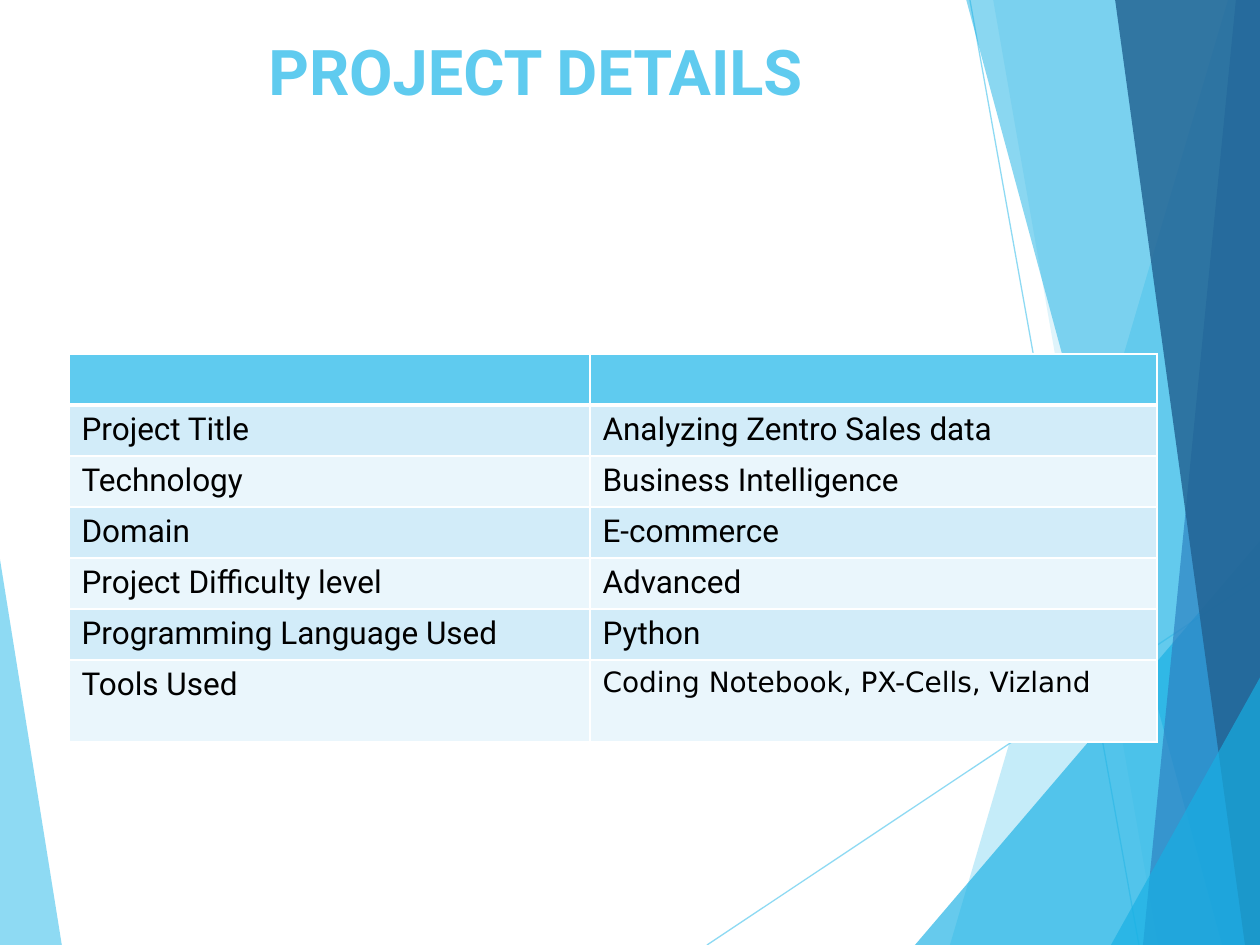
import pptx
import pptx.util
import pptx.dml.color
import pptx.enum.shapes
import pptx.enum.text
import pptx.oxml.ns
import lxml.etree

RGB = pptx.dml.color.RGBColor
SKY = RGB(0x5F, 0xCB, 0xEF)
CYAN = RGB(0x17, 0xB0, 0xE4)
BLUE = RGB(0x2E, 0x83, 0xC3)
NAVY = RGB(0x22, 0x62, 0x92)
BAND_DARK = RGB(0xD2, 0xEC, 0xF9)
BAND_LIGHT = RGB(0xEA, 0xF6, 0xFC)
BLACK = RGB(0, 0, 0)
WHITE = RGB(0xFF, 0xFF, 0xFF)

# Content
TITLE = "PROJECT DETAILS"
ROWS = [
    ("", ""),
    ("Project Title", "Analyzing Zentro Sales data"),
    ("Technology", "Business Intelligence"),
    ("Domain", "E-commerce"),
    ("Project Difficulty level", "Advanced"),
    ("Programming Language Used", "Python"),
    ("Tools Used", "Coding Notebook, PX-Cells, Vizland"),
]
TITLE_FONT = {"name": "Roboto", "size": pptx.util.Pt(36), "bold": True}
CELL_FONT = {"name": "Roboto", "size": pptx.util.Pt(18), "bold": False}
TOOLS_FONT = {"name": "DejaVu Sans", "size": pptx.util.Pt(16), "bold": False}

# Backdrop: colour, opacity in percent, corner points in px
LEFT_FACET = (SKY, 70, [(-1, 553), (62, 946), (-1, 945)])
RAYS = [((707, 945), (1261, 576)), ((970, 0), (1139, 945))]
RIGHT_FACETS = [
    (SKY, 36, [(1228, 0), (950, 945), (1262, 946), (1261, 0)]),
    (SKY, 20, [(993, -1), (1158, 945), (1261, 945), (1261, -1)]),
    (CYAN, 66, [(915, 945), (1260, 541), (1261, 945)]),
    (CYAN, 50, [(966, -1), (1222, 945), (1261, 945), (1261, -1)]),
    (BLUE, 70, [(1236, -1), (1143, 945), (1261, 945), (1260, -1)]),
    (NAVY, 82, [(1115, -1), (1245, 945), (1262, 945), (1260, -1)]),
    (CYAN, 66, [(1111, 945), (1262, 674), (1262, 945)]),
]

# Layout in px
SLIDE = (1260, 945)
TITLE_BOX = (256, 21, 941, 168)
TABLE_AT = (69, 354)
COLS = (521, 567)
ROW_H, LAST_ROW_H = 51, 82
EMU_PER_PX = 914400 / 126


def px(n):
    return pptx.util.Emu(round(n * EMU_PER_PX))


def sub(parent, tag, **attrs):
    return lxml.etree.SubElement(parent, pptx.oxml.ns.qn(tag), attrs)


def set_opacity(color_format_parent, percent):
    clr = next(color_format_parent.iter(pptx.oxml.ns.qn("a:srgbClr")))
    sub(clr, "a:alpha", val=str(percent * 1000))


def add_facet(shapes, color, opacity, points):
    fb = shapes.build_freeform(*points[0], scale=EMU_PER_PX)
    fb.add_line_segments(points[1:], close=True)
    sp = fb.convert_to_shape()
    sp.shadow.inherit = False
    sp.fill.solid()
    sp.fill.fore_color.rgb = color
    set_opacity(sp.element.spPr, opacity)
    sp.line.fill.background()


def add_ray(shapes, start, end):
    line = shapes.add_connector(pptx.enum.shapes.MSO_CONNECTOR.STRAIGHT,
                                *map(px, start + end))
    line.line.color.rgb = SKY
    line.line.width = pptx.util.Pt(0.75)
    set_opacity(line.element.spPr, 70)
    sub(line.element.spPr, "a:effectLst")


def write(tf, text, font, color):
    p = tf.paragraphs[0]
    target = p.add_run() if text else p
    if text:
        target.text = text
    for key, value in font.items():
        setattr(target.font, key, value)
    target.font.color.rgb = color


def set_borders(cell, widths):
    tcPr = cell._tc.get_or_add_tcPr()
    for side, width in widths.items():
        ln = sub(tcPr, "a:ln" + side, w=str(pptx.util.Pt(width)))
        sub(sub(ln, "a:solidFill"), "a:srgbClr", val=str(WHITE))


def add_details(shapes):
    heights = [ROW_H] * (len(ROWS) - 1) + [LAST_ROW_H]
    frame = shapes.add_table(len(ROWS), len(COLS), *map(px, TABLE_AT),
                             px(sum(COLS)), px(sum(heights)))
    table = frame.table
    for col, width in zip(table.columns, COLS):
        col.width = px(width)
    for i, (texts, height) in enumerate(zip(ROWS, heights)):
        table.rows[i].height = px(height)
        fill = SKY if i == 0 else BAND_DARK if i % 2 else BAND_LIGHT
        for j, text in enumerate(texts):
            cell = table.cell(i, j)
            # Thick rule under the header row
            set_borders(cell, {"L": 1, "R": 1, "T": 3 if i == 1 else 1,
                               "B": 3 if i == 0 else 1})
            cell.fill.solid()
            cell.fill.fore_color.rgb = fill
            is_tools = (i, j) == (len(ROWS) - 1, 1)
            write(cell.text_frame, text, TOOLS_FONT if is_tools else CELL_FONT, BLACK)


def main():
    prs = pptx.Presentation()
    prs.slide_width, prs.slide_height = map(px, SLIDE)
    shapes = prs.slides.add_slide(prs.slide_layouts[6]).shapes

    # Backdrop
    add_facet(shapes, *LEFT_FACET)
    for start, end in RAYS:
        add_ray(shapes, start, end)
    for facet in RIGHT_FACETS:
        add_facet(shapes, *facet)

    # Title
    tf = shapes.add_textbox(*map(px, TITLE_BOX)).text_frame
    frame_format = {"word_wrap": True, "margin_top": px(12),
                    "vertical_anchor": pptx.enum.text.MSO_ANCHOR.TOP}
    for key, value in frame_format.items():
        setattr(tf, key, value)
    write(tf, TITLE, TITLE_FONT, SKY)

    # Project table
    add_details(shapes)
    prs.save("out.pptx")


if __name__ == "__main__":
    main()
